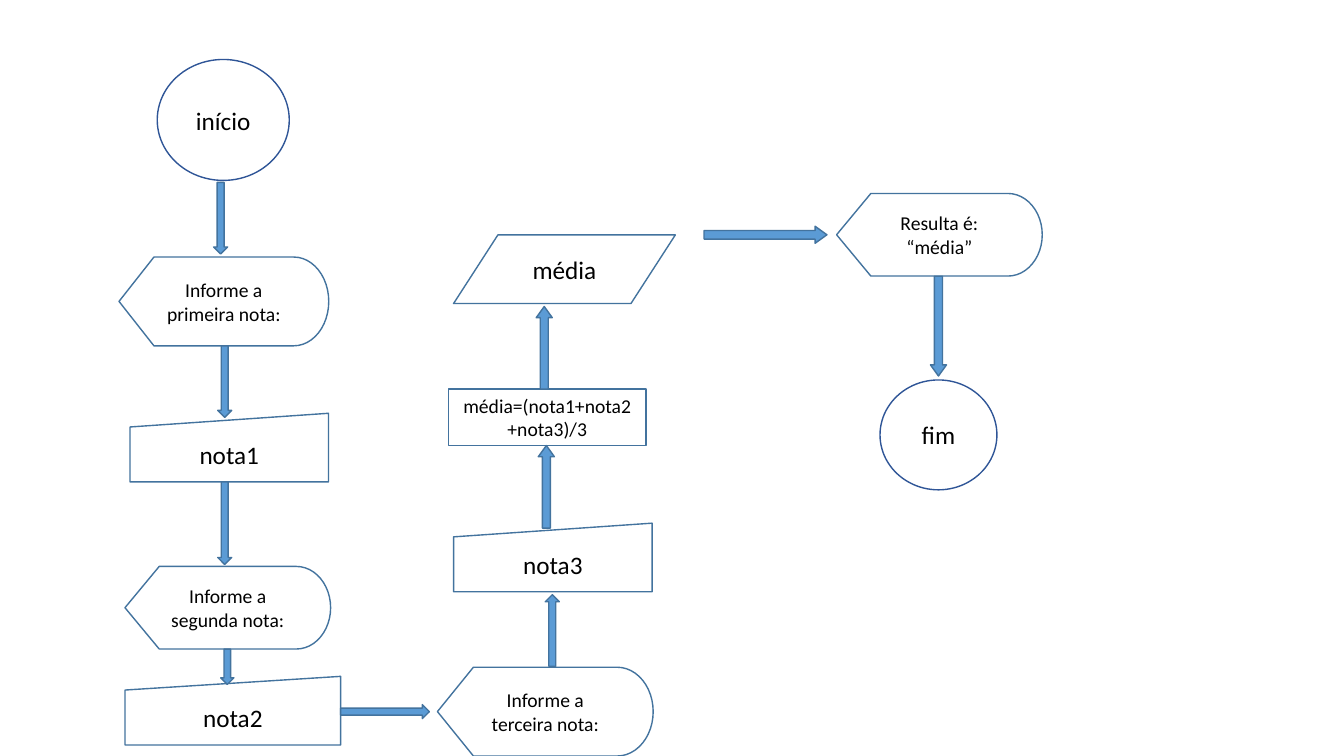
"""Build a flowchart slide that averages three grades."""
from pptx import Presentation
from pptx.dml.color import RGBColor
from pptx.enum.shapes import MSO_SHAPE
from pptx.enum.text import MSO_ANCHOR, PP_ALIGN
from pptx.util import Pt

ROUND = MSO_SHAPE.FLOWCHART_CONNECTOR
SHOW = MSO_SHAPE.FLOWCHART_DISPLAY
INPUT = MSO_SHAPE.FLOWCHART_MANUAL_INPUT
STEP = MSO_SHAPE.FLOWCHART_PROCESS
DATA = MSO_SHAPE.FLOWCHART_DATA
ARROW = MSO_SHAPE.DOWN_ARROW
MIDDLE = MSO_ANCHOR.MIDDLE
CENTER = PP_ALIGN.CENTER

FONT = "Calibri"
BLACK, WHITE, BLUE = "000000", "FFFFFF", "5B9BD5"
EDGE, RING = "43739E", "2F5597"
BIG, SMALL = 18, 14
DOWN, UP, RIGHT = 0, 180, 270
SHORT, LONG = 0.5, 0.694

NODES = [
    (ROUND, "início", 112.3, 42.5, 94.3, 86.4),
    (SHOW, "Informe a primeira nota:", 85, 183.6, 149.8, 63.4),
    (INPUT, "nota1", 92.9, 295.2, 141.8, 49),
    (SHOW, "Informe a segunda nota:", 89.3, 404.6, 146.9, 59),
    (INPUT, "nota2", 89.3, 483.1, 154.1, 49),
    (SHOW, "Informe a terceira nota:", 312.5, 476.6, 154.1, 63.4),
    (INPUT, "nota3", 324, 373.7, 141.8, 49),
    (STEP, "média=(nota1+nota2+nota3)/3", 320.4, 277.9, 141.1, 40.3),
    (DATA, "média", 324, 167.8, 158.4, 49),
    (SHOW, "Resulta é:\n“média”", 597.6, 138.2, 146.9, 59),
    (ROUND, "fim", 628.6, 271.4, 83.5, 78.5),
]

ARROWS = [
    (152.6, 130.3, 10, 51.1, DOWN, SHORT),
    (155.5, 247, 10, 51.1, DOWN, SHORT),
    (155.5, 344.2, 10, 59, DOWN, SHORT),
    (157.7, 463.7, 9.4, 25.2, DOWN, SHORT),
    (270, 476.6, 10, 63.4, RIGHT, SHORT),
    (389.5, 424.8, 10, 51.1, UP, SHORT),
    (384.5, 318.2, 11.5, 59, UP, LONG),
    (383, 218.9, 11.5, 59, UP, LONG),
    (540.7, 123.8, 12.2, 87.8, RIGHT, LONG),
    (664.6, 197.3, 11.5, 71.3, DOWN, LONG),
]


def color(code):
    """Turn a hex string into a colour."""
    return RGBColor.from_string(code)


def write(shape, text, size=BIG, tint=BLACK, align=CENTER):
    """Put text into a shape, one paragraph a line."""
    frame = shape.text_frame
    frame.word_wrap = True
    frame.vertical_anchor = MIDDLE
    frame.text = text
    for para in frame.paragraphs:
        para.alignment = align
        for run in para.runs:
            run.font.name = FONT
            run.font.size = Pt(size)
            run.font.color.rgb = color(tint)


def draw(slide, kind, box, fill, line):
    """Add a filled and outlined shape without a shadow."""
    shape = slide.shapes.add_shape(kind, *map(Pt, box))
    shape.shadow.inherit = False
    shape.fill.solid()
    shape.fill.fore_color.rgb = color(fill)
    shape.line.color.rgb = color(line)
    shape.line.width = Pt(1)
    return shape


def node(slide, kind, text, *box):
    """Add one step of the flowchart."""
    shape = draw(slide, kind, box, WHITE, RING if kind == ROUND else EDGE)
    write(shape, text, size=SMALL if kind in (SHOW, STEP) else BIG)


def arrow(slide, left, top, width, height, turn, head):
    """Add a block arrow turned to its direction."""
    shape = draw(slide, ARROW, (left, top, width, height), BLUE, EDGE)
    shape.rotation = turn
    shape.adjustments[1] = head


def main():
    """Build the slide and save it."""
    deck = Presentation()
    deck.slide_width, deck.slide_height = Pt(960), Pt(540)
    slide = deck.slides.add_slide(deck.slide_layouts[6])
    for item in NODES:
        node(slide, *item)
    for item in ARROWS:
        arrow(slide, *item)
    deck.save("out.pptx")


main()
